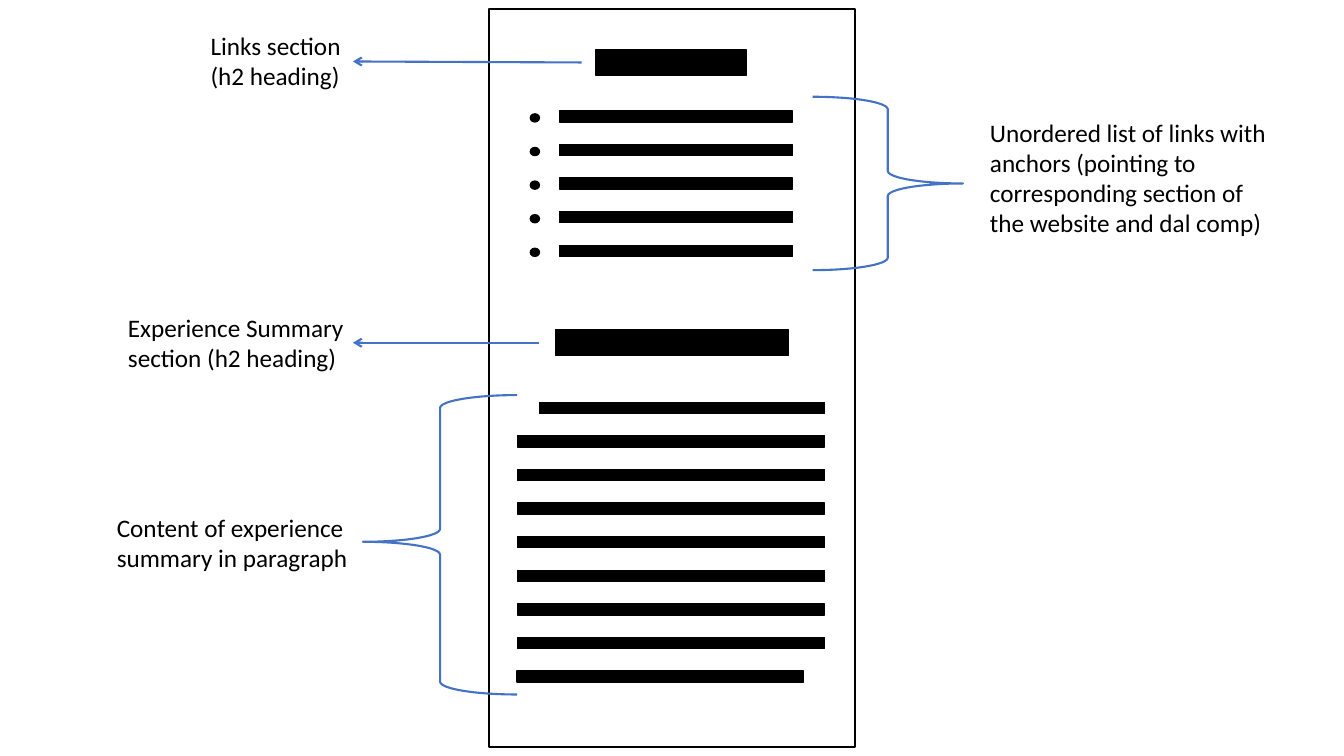
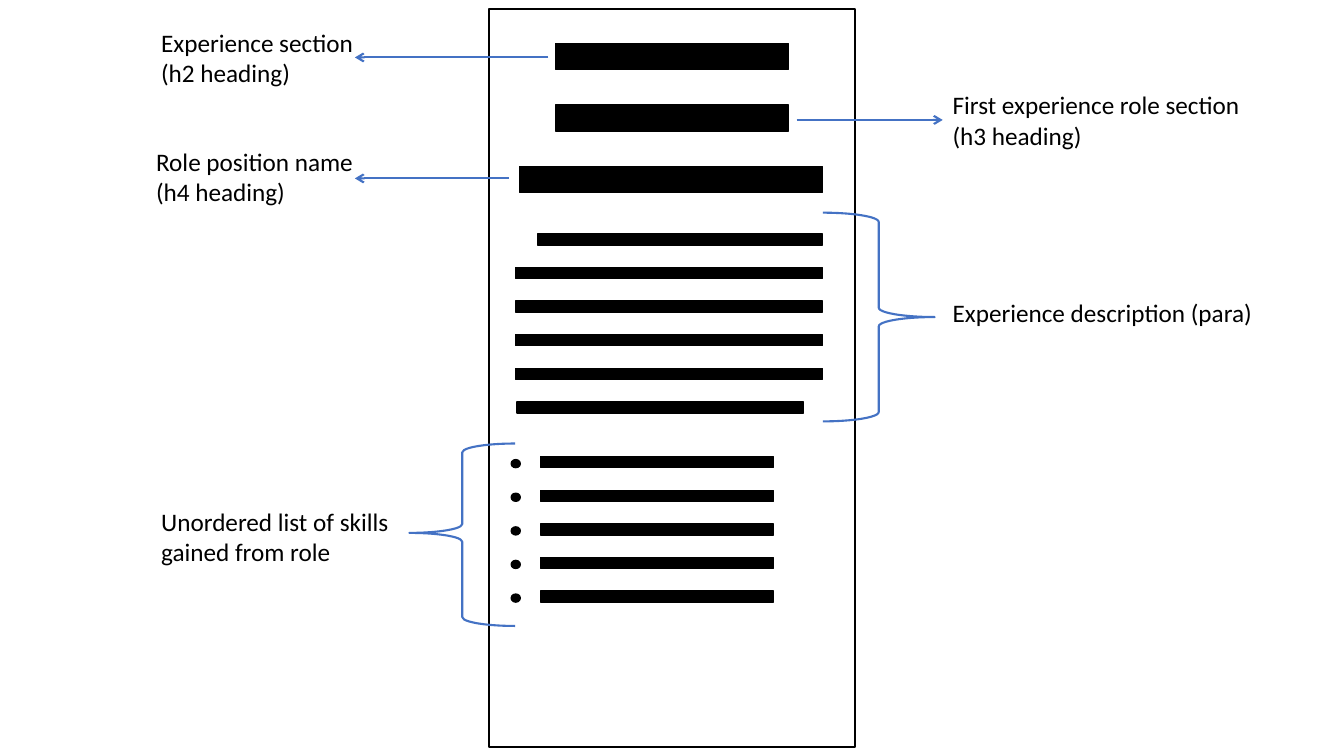
from dataclasses import dataclass

from lxml import etree
from pptx import Presentation
from pptx.dml.color import RGBColor
from pptx.enum import shapes, text
from pptx.oxml import ns
from pptx.shapes.autoshape import Shape
from pptx.slide import Slide
from pptx.util import Inches, Pt

BLACK = RGBColor(0x00, 0x00, 0x00)
BLUE = RGBColor(0x44, 0x72, 0xC4)
FONT = "Calibri"
ROW_PITCH = 1 / 3
BAR_HEIGHT = 0.11
HEADING_HEIGHT = 0.26
LIST_ROWS = 5
PRESET = shapes.MSO_SHAPE


@dataclass(frozen=True)
class Heading:
    left: float
    top: float
    width: float


@dataclass(frozen=True)
class BulletList:
    left: float
    top: float


@dataclass(frozen=True)
class TextLines:
    left: float
    top: float
    rows: int
    last_left: float


@dataclass(frozen=True)
class Arrow:
    start: tuple[float, float]
    end: tuple[float, float]


@dataclass(frozen=True)
class Brace:
    left: float
    top: float
    width: float
    height: float
    tip: float = 0.5
    points_right: bool = False


@dataclass(frozen=True)
class Label:
    left: float
    top: float
    width: float
    height: float
    lines: tuple[str, ...]


def add_outline(page: Slide, preset: PRESET, left: float, top: float,
                width: float, height: float, color: RGBColor = BLACK,
                weight: float = 1.5) -> Shape:
    shape = page.shapes.add_shape(
        preset, Inches(left), Inches(top), Inches(width), Inches(height))
    shape.shadow.inherit = False
    shape.fill.background()
    shape.line.color.rgb = color
    shape.line.width = Pt(weight)
    return shape


def add_solid(page: Slide, preset: PRESET, left: float, top: float,
              width: float, height: float) -> None:
    shape = add_outline(page, preset, left, top, width, height, weight=1)
    shape.fill.solid()
    shape.fill.fore_color.rgb = BLACK


def draw_heading(page: Slide, heading: Heading) -> None:
    add_solid(page, PRESET.RECTANGLE, heading.left, heading.top,
              heading.width, HEADING_HEIGHT)


def draw_bullets(page: Slide, bullets: BulletList) -> None:
    for row in range(LIST_ROWS):
        top = bullets.top + row * ROW_PITCH
        add_solid(page, PRESET.OVAL, bullets.left, top + 0.03, 0.09, 0.08)
        add_solid(page, PRESET.RECTANGLE, bullets.left + 0.29, top, 2.31, BAR_HEIGHT)


def draw_text_lines(page: Slide, lines: TextLines) -> None:
    for row in range(lines.rows):
        left, width = lines.left, 3.05
        if row == 0:
            left, width = lines.left + 0.22, 2.83
        elif row == lines.rows - 1:
            left, width = lines.last_left, 2.84
        add_solid(page, PRESET.RECTANGLE, left, lines.top + row * ROW_PITCH,
                  width, BAR_HEIGHT)


def draw_arrow(page: Slide, arrow: Arrow) -> None:
    points = [Inches(value) for value in (*arrow.start, *arrow.end)]
    connector = page.shapes.add_connector(shapes.MSO_CONNECTOR.STRAIGHT, *points)
    connector.line.color.rgb = BLUE
    connector.line.width = Pt(1.5)
    properties = connector.element.spPr
    outline = properties.find(ns.qn("a:ln"))
    etree.SubElement(outline, ns.qn("a:tailEnd"), type="arrow")
    etree.SubElement(properties, ns.qn("a:effectLst"))


def draw_brace(page: Slide, brace: Brace) -> None:
    shape = add_outline(page, PRESET.LEFT_BRACE, brace.left, brace.top,
                        brace.width, brace.height, BLUE)
    shape.adjustments[1] = brace.tip
    if brace.points_right:
        shape.rotation = 180


def draw_label(page: Slide, label: Label) -> None:
    box = page.shapes.add_textbox(Inches(label.left), Inches(label.top),
                                  Inches(label.width), Inches(label.height))
    frame = box.text_frame
    frame.word_wrap = True
    frame.auto_size = text.MSO_AUTO_SIZE.SHAPE_TO_FIT_TEXT
    frame.text = "\n".join(label.lines)
    for para in frame.paragraphs:
        para.font.name = FONT
        para.font.size = Pt(18)
        para.font.color.rgb = BLACK


DRAW = {
    Heading: draw_heading,
    BulletList: draw_bullets,
    TextLines: draw_text_lines,
    Arrow: draw_arrow,
    Brace: draw_brace,
    Label: draw_label,
}

LINKS_AND_SUMMARY = (
    Heading(5.91, 0.49, 1.49),
    BulletList(5.26, 1.1),
    Heading(5.51, 3.27, 2.31),
    TextLines(5.13, 3.99, rows=9, last_left=5.13),
    Arrow((5.77, 0.62), (3.5, 0.61)),
    Label(1.99, 0.25, 1.81, 0.71, ("Links section (h2 heading)",)),
    Label(9.72, 1.11, 3.09, 1.31, (
        "Unordered list of links with anchors (pointing to "
        "corresponding section of the website and dal comp)",)),
    Brace(8.06, 0.96, 1.49, 1.72, points_right=True),
    Arrow((5.35, 3.4), (3.5, 3.4)),
    Label(1.17, 3.05, 2.62, 0.71, ("Experience Summary section (h2 heading)",)),
    Label(1.06, 5.03, 2.62, 0.71, ("Content of experience summary in paragraph",)),
    Brace(3.6, 3.92, 1.53, 2.97, tip=0.49),
)

EXPERIENCE = (
    Heading(5.51, 0.43, 2.31),
    Heading(5.51, 1.04, 2.31),
    Heading(5.15, 1.65, 3.01),
    TextLines(5.11, 2.32, rows=6, last_left=5.13),
    BulletList(5.07, 4.53),
    Arrow((5.44, 0.57), (3.52, 0.57)),
    Label(1.5, 0.22, 2.16, 0.71, ("Experience section", "(h2 heading)")),
    Arrow((7.9, 1.19), (9.35, 1.19)),
    Label(9.35, 0.84, 3.1, 0.71, ("First experience role section", "(h3 heading)")),
    Arrow((5.05, 1.77), (3.52, 1.77)),
    Label(1.45, 1.4, 2.16, 0.71, ("Role position name", "(h4 heading)")),
    Label(9.35, 2.9, 3.44, 0.4, ("Experience description (para)",)),
    Brace(8.16, 2.11, 1.11, 2.07, points_right=True),
    Brace(4.06, 4.4, 1.05, 1.81, tip=0.49),
    Label(1.5, 4.97, 2.61, 0.71, ("Unordered list of skills gained from role",)),
)

deck = Presentation()
deck.slide_width = Inches(13.33)
deck.slide_height = Inches(7.5)
for wireframe in (LINKS_AND_SUMMARY, EXPERIENCE):
    page = deck.slides.add_slide(deck.slide_layouts[6])
    add_outline(page, PRESET.RECTANGLE, 4.85, 0.09, 3.63, 7.32)
    for part in wireframe:
        DRAW[type(part)](page, part)
deck.save("out.pptx")
